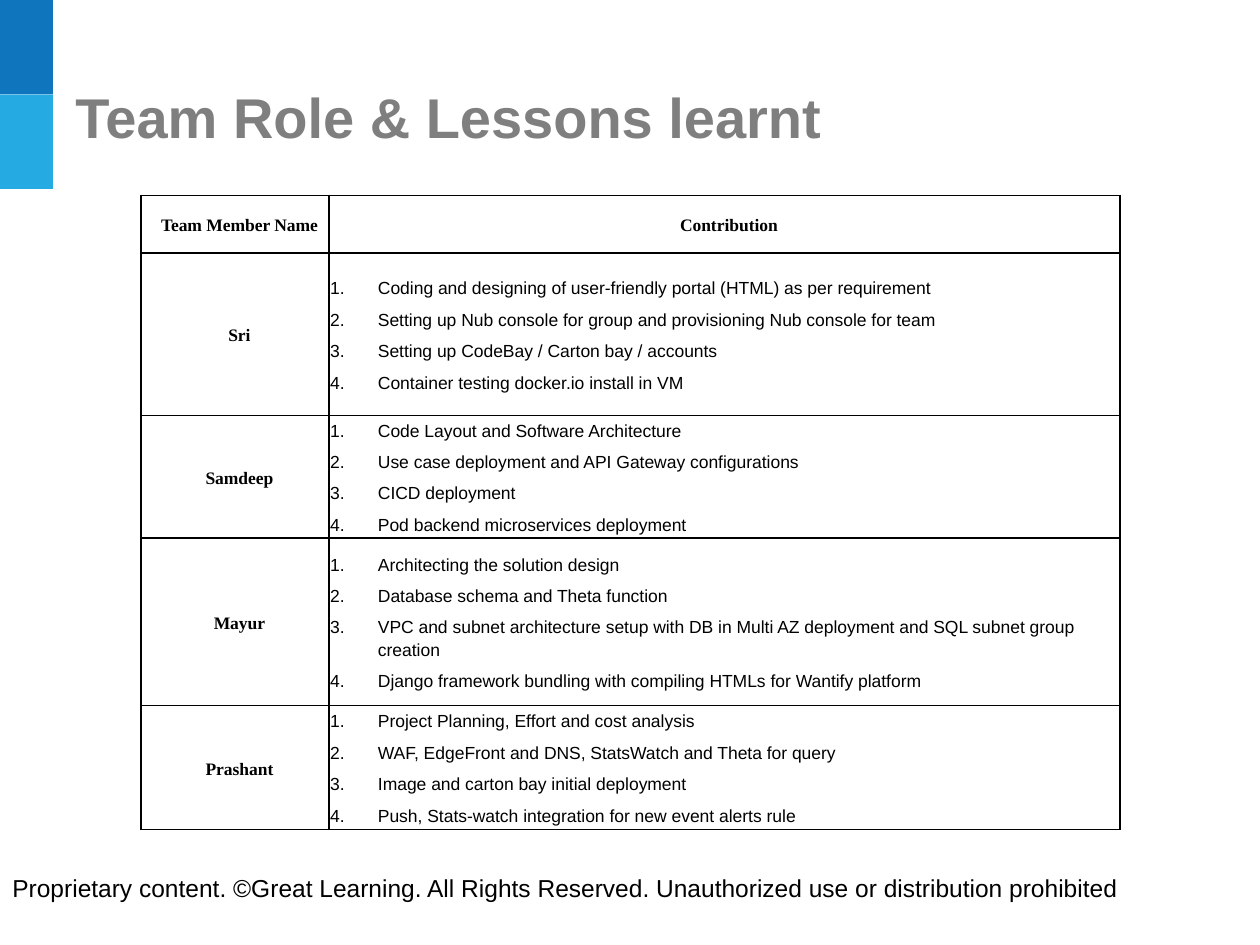
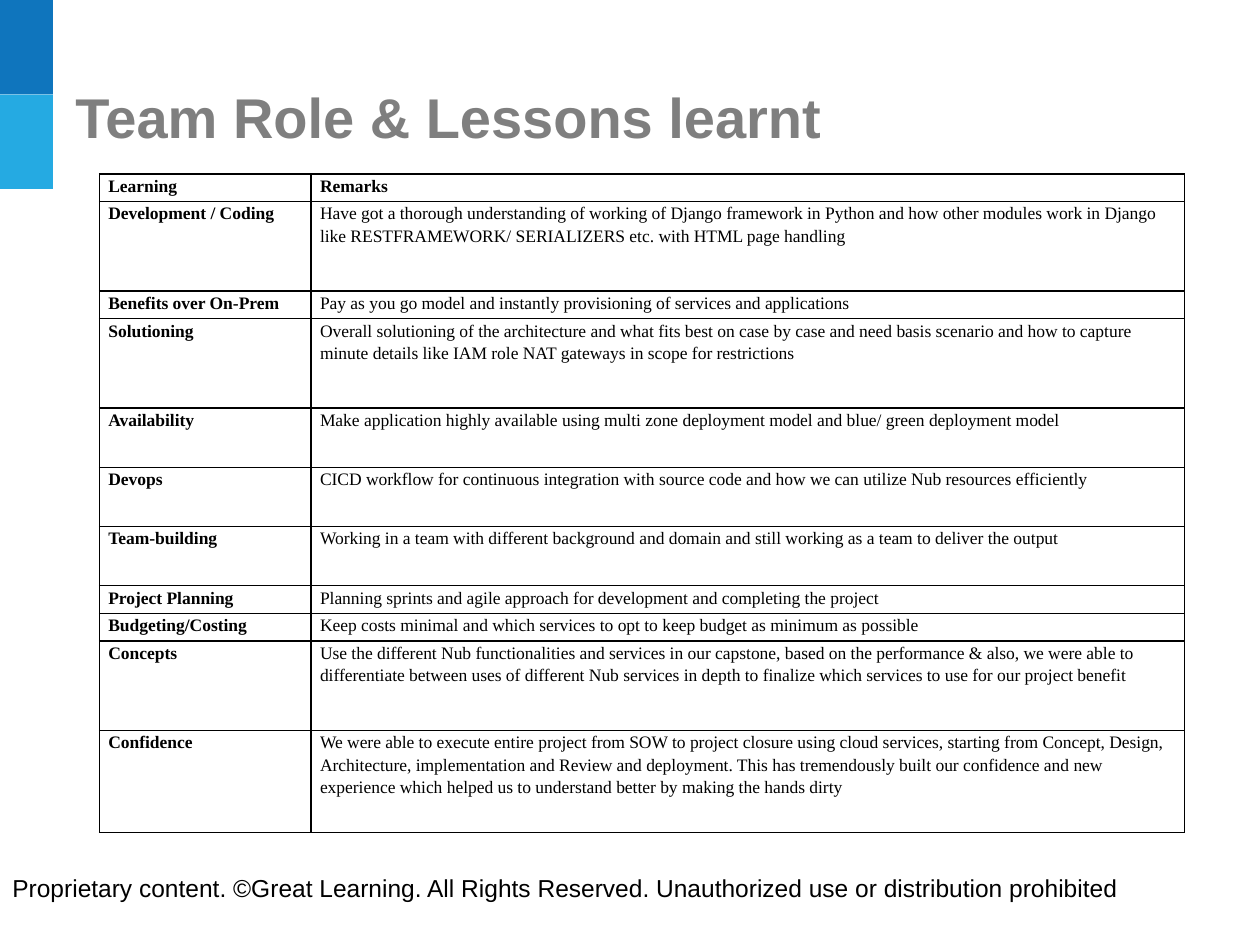
from lxml.etree import SubElement
from pptx import Presentation
from pptx.dml.color import RGBColor
from pptx.enum.shapes import MSO_SHAPE
from pptx.enum.text import MSO_ANCHOR, PP_ALIGN
from pptx.oxml.ns import qn
from pptx.util import Emu, Inches, Pt

DEEP_BLUE = RGBColor(0x0F, 0x75, 0xBD)
SKY_BLUE = RGBColor(0x25, 0xAA, 0xE2)
GREY = RGBColor(0x7F, 0x7F, 0x7F)
BLACK = RGBColor(0, 0, 0)
WHITE = RGBColor(0xFF, 0xFF, 0xFF)
SANS = "Arial"
SERIF = "Times New Roman"
COLUMNS, ROWS = 100, 75
GRID_STEP = Inches(0.1)
HEADING = "Team Role & Lessons learnt"
COPYRIGHT = ("Proprietary content. ©Great Learning. All Rights Reserved. "
             "Unauthorized use or distribution prohibited")

contributions = [
    ("Team Member Name", ["Contribution"], 4.6, 0),
    ("Sri", [
        "Coding and designing of user-friendly portal (HTML) as per requirement",
        "Setting up Nub console for group and provisioning Nub console for team",
        "Setting up CodeBay / Carton bay / accounts",
        "Container testing docker.io install in VM",
    ], 12.9, 5.3),
    ("Samdeep", [
        "Code Layout and Software Architecture",
        "Use case deployment and API Gateway configurations",
        "CICD deployment",
        "Pod backend microservices deployment",
    ], 9.4, 4.9),
    ("Mayur", [
        "Architecting the solution design",
        "Database schema and Theta function",
        "VPC and subnet architecture setup with DB in Multi AZ deployment and SQL subnet group creation",
        "Django framework bundling with compiling HTMLs for Wantify platform",
    ], 13.3, 4.9),
    ("Prashant", [
        "Project Planning, Effort and cost analysis",
        "WAF, EdgeFront and DNS, StatsWatch and Theta for query",
        "Image and carton bay initial deployment",
        "Push, Stats-watch integration for new event alerts rule",
    ], 9.3, 5.2),
]

lessons = [
    ("Learning", ["Remarks"], 2.2, 0),
    ("Development / Coding", [
        "Have got a thorough understanding of working of Django framework in Python and how other "
        "modules work in Django like RESTFRAMEWORK/ SERIALIZERS etc. with HTML page handling"], 7.1, 0),
    ("Benefits over On-Prem", [
        "Pay as you go model and instantly provisioning of services and applications"], 2.2, 0),
    ("Solutioning", [
        "Overall solutioning of the architecture and what fits best on case by case and need basis "
        "scenario and how to capture minute details like IAM role NAT gateways in scope for "
        "restrictions"], 7.1, 0),
    ("Availability", [
        "Make application highly available using multi zone deployment model and blue/ green "
        "deployment model"], 4.7, 0),
    ("Devops", [
        "CICD workflow for continuous integration with source code and how we can utilize Nub "
        "resources efficiently"], 4.7, 0),
    ("Team-building", [
        "Working in a team with different background and domain and still working as a team to "
        "deliver the output"], 4.7, 0),
    ("Project Planning", [
        "Planning sprints and agile approach for development and completing the project"], 2.2, 0),
    ("Budgeting/Costing", [
        "Keep costs minimal and which services to opt to keep budget as minimum as possible"], 2.2, 0),
    ("Concepts", [
        "Use the different Nub functionalities and services in our capstone, based on the "
        "performance & also, we were able to differentiate between uses of different Nub services "
        "in depth to finalize which services to use for our project benefit"], 7.1, 0),
    ("Confidence", [
        "We were able to execute entire project from SOW to project closure using cloud services, "
        "starting from Concept, Design, Architecture, implementation and Review and deployment. "
        "This has tremendously built our confidence and new experience which helped us to "
        "understand better by making the hands dirty"], 8.1, 0),
]

pages = [
    dict(rows=contributions, corner=(11.2, 15.5), widths=(14.9, 62.8), insets=(0.1, 0),
         anchor=MSO_ANCHOR.MIDDLE, centred=True, body_font=SANS),
    dict(rows=lessons, corner=(7.9, 13.8), widths=(16.8, 69.3), insets=(0.7, 0),
         anchor=MSO_ANCHOR.TOP, centred=False, body_font=SERIF),
]


def steps(*counts):
    return [Emu(round(count * GRID_STEP)) for count in counts]


def write(holder, lines, font=SANS, size=10, color=BLACK, bold=False, align=PP_ALIGN.LEFT,
          spacing=1.0, before=0, indent=0, numbered=False):
    frame = holder.text_frame
    frame.word_wrap = True
    for position, line in enumerate(lines):
        paragraph = frame.add_paragraph() if position else frame.paragraphs[0]
        properties = paragraph._p.get_or_add_pPr()
        margin, = steps(indent)
        properties.set("marL", str(margin))
        properties.set("indent", str(-margin if numbered else 0))
        if numbered:
            tint = SubElement(properties, qn("a:buClr"))
            SubElement(tint, qn("a:srgbClr"), val=str(color))
            SubElement(properties, qn("a:buFont"), typeface=font)
            SubElement(properties, qn("a:buAutoNum"), type="arabicPeriod")
        paragraph.alignment = align
        paragraph.line_spacing = spacing
        if position:
            paragraph.space_before = Pt(before)
        run = paragraph.add_run()
        run.text = line
        run.font.name = font
        run.font.size = Pt(size)
        run.font.bold = bold
        run.font.color.rgb = color


deck = Presentation()
deck.slide_width, deck.slide_height = steps(COLUMNS, ROWS)

for page in pages:
    slide = deck.slides.add_slide(deck.slide_layouts[6])

    for order, tone in enumerate((DEEP_BLUE, SKY_BLUE)):
        band = slide.shapes.add_shape(MSO_SHAPE.RECTANGLE, *steps(0, order * 7.5, 4.2, 7.5))
        band.shadow.inherit = False
        band.fill.solid()
        band.fill.fore_color.rgb = tone
        band.line.fill.background()

    footer = slide.shapes.add_textbox(*steps(0, 68.3, 95, 6.7))
    footer.text_frame.margin_top = GRID_STEP
    write(footer, [COPYRIGHT], size=14)

    heading = slide.shapes.add_textbox(*steps(5, 3, 90, 12.5))
    heading.text_frame.vertical_anchor = MSO_ANCHOR.MIDDLE
    write(heading, [HEADING], size=32, color=GREY, bold=True)

    rows, widths = page["rows"], page["widths"]
    total_height = sum(height for _, _, height, _ in rows)
    grid = slide.shapes.add_table(
        len(rows), len(widths), *steps(*page["corner"], sum(widths), total_height)).table
    grid.first_row = grid.horz_banding = False
    for column, width in zip(grid.columns, steps(*widths)):
        column.width = width

    for index, (topic, details, height, before) in enumerate(rows):
        grid.rows[index].height, = steps(height)
        for side, lines in enumerate(([topic], details)):
            cell = grid.cell(index, side)
            is_label = index == 0 or side == 0
            numbered = len(lines) > 1
            centred = page["centred"] and is_label
            cell.vertical_anchor = page["anchor"]
            across, down = steps(*page["insets"])
            cell.margin_left = cell.margin_right = across
            cell.margin_top = cell.margin_bottom = down
            for edge in ("a:lnL", "a:lnR", "a:lnT", "a:lnB"):
                border = SubElement(cell._tc.get_or_add_tcPr(), qn(edge), w=str(Pt(1)))
                ink = SubElement(border, qn("a:solidFill"))
                SubElement(ink, qn("a:srgbClr"), val=str(BLACK))
            cell.fill.solid()
            cell.fill.fore_color.rgb = WHITE
            write(cell, lines, font=SERIF if is_label else page["body_font"], bold=is_label,
                  align=PP_ALIGN.CENTER if centred else PP_ALIGN.LEFT, spacing=1.15,
                  before=before, indent=3.8 if numbered else 0.7 if centred else 0,
                  numbered=numbered)

deck.save("out.pptx")
